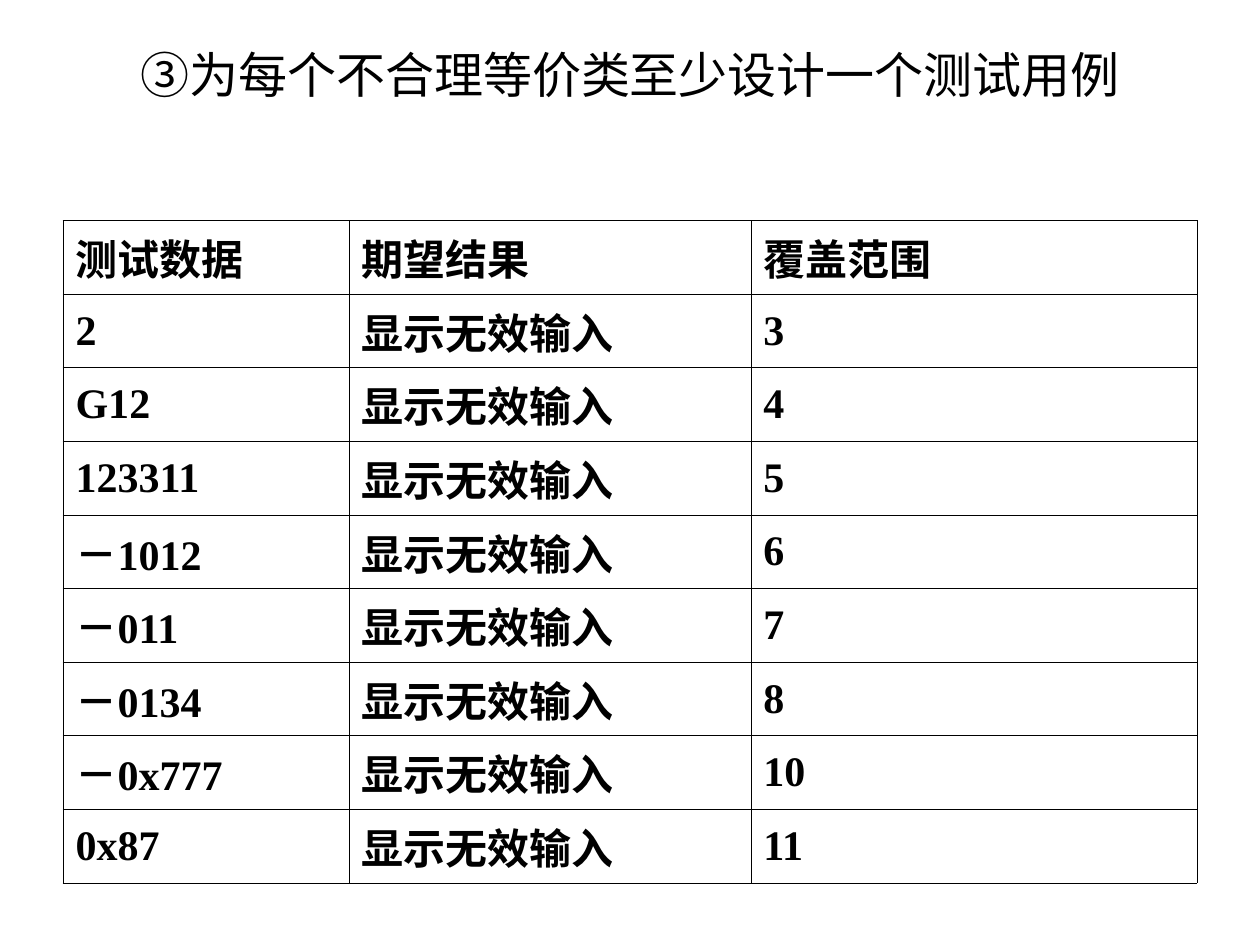
from lxml import etree
from pptx import Presentation
from pptx.dml.color import RGBColor
from pptx.enum.text import MSO_ANCHOR, PP_ALIGN
from pptx.oxml.ns import qn
from pptx.util import Inches, Pt

CENTER, TOP, MIDDLE = PP_ALIGN.CENTER, MSO_ANCHOR.TOP, MSO_ANCHOR.MIDDLE
COLORS = {"ink": "000000"}
INK = RGBColor.from_string(COLORS["ink"])
INVALID = "显示无效输入"
HEADER = ("测试数据", "期望结果", "覆盖范围")
CASES = [
    ("2", "3"),
    ("G12", "4"),
    ("123311", "5"),
    ("－1012", "6"),
    ("－011", "7"),
    ("－0134", "8"),
    ("－0x777", "10"),
    ("0x87", "11"),
]
ROWS = [HEADER] + [(data, INVALID, covered) for data, covered in CASES]
COL_WIDTHS = (2.27, 3.19, 3.54)
TABLE_HEIGHT = Inches(5.26)
HANG = Inches(0.38)


def set_font(p, name, size, bold):
    p.font.name = name
    p.font.size = Pt(size)
    p.font.bold = bold
    p.font.color.rgb = INK


def add_borders(cell):
    tcPr = cell._tc.get_or_add_tcPr()
    for side in ("a:lnL", "a:lnR", "a:lnT", "a:lnB"):
        ln = etree.SubElement(tcPr, qn(side), w=str(Pt(0.45)))
        fill = etree.SubElement(ln, qn("a:solidFill"))
        etree.SubElement(fill, qn("a:srgbClr"), val=COLORS["ink"])


prs = Presentation()
prs.slide_width, prs.slide_height = Inches(10), Inches(7.5)
s = prs.slides.add_slide(prs.slide_layouts[6])
left, width = int(prs.slide_width * 0.05), int(prs.slide_width * 0.9)

title = s.shapes.add_textbox(left, int(prs.slide_height * 0.04), width, Inches(1.25))
tf = title.text_frame
tf.word_wrap = True
tf.vertical_anchor = TOP
p = tf.paragraphs[0]
p.text = "③为每个不合理等价类至少设计一个测试用例"
p.alignment = CENTER
set_font(p, "Arial", 28, False)

table = s.shapes.add_table(
    len(ROWS), len(HEADER), left, Inches(1.75), width, TABLE_HEIGHT
).table
table.first_row = table.horz_banding = False
for column, col_width in zip(table.columns, COL_WIDTHS):
    column.width = Inches(col_width)

for r, row in enumerate(ROWS):
    table.rows[r].height = TABLE_HEIGHT // len(ROWS)
    for c, text in enumerate(row):
        cell = table.cell(r, c)
        cell.vertical_anchor = MIDDLE
        add_borders(cell)
        cell.fill.background()
        p = cell.text_frame.paragraphs[0]
        p.text = text
        pPr = p._p.get_or_add_pPr()
        pPr.set("marL", str(HANG))
        pPr.set("indent", str(-HANG))
        set_font(p, "Times New Roman", 24, True)

prs.save("out.pptx")
